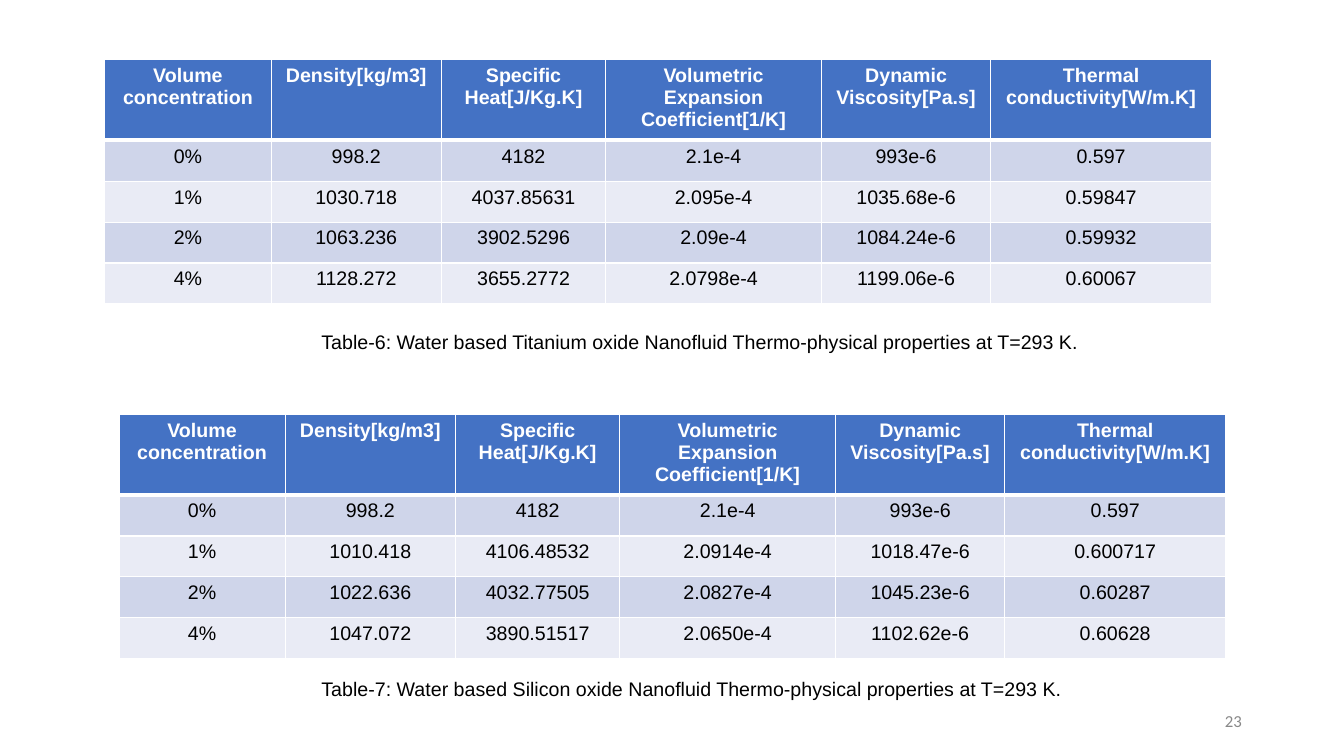
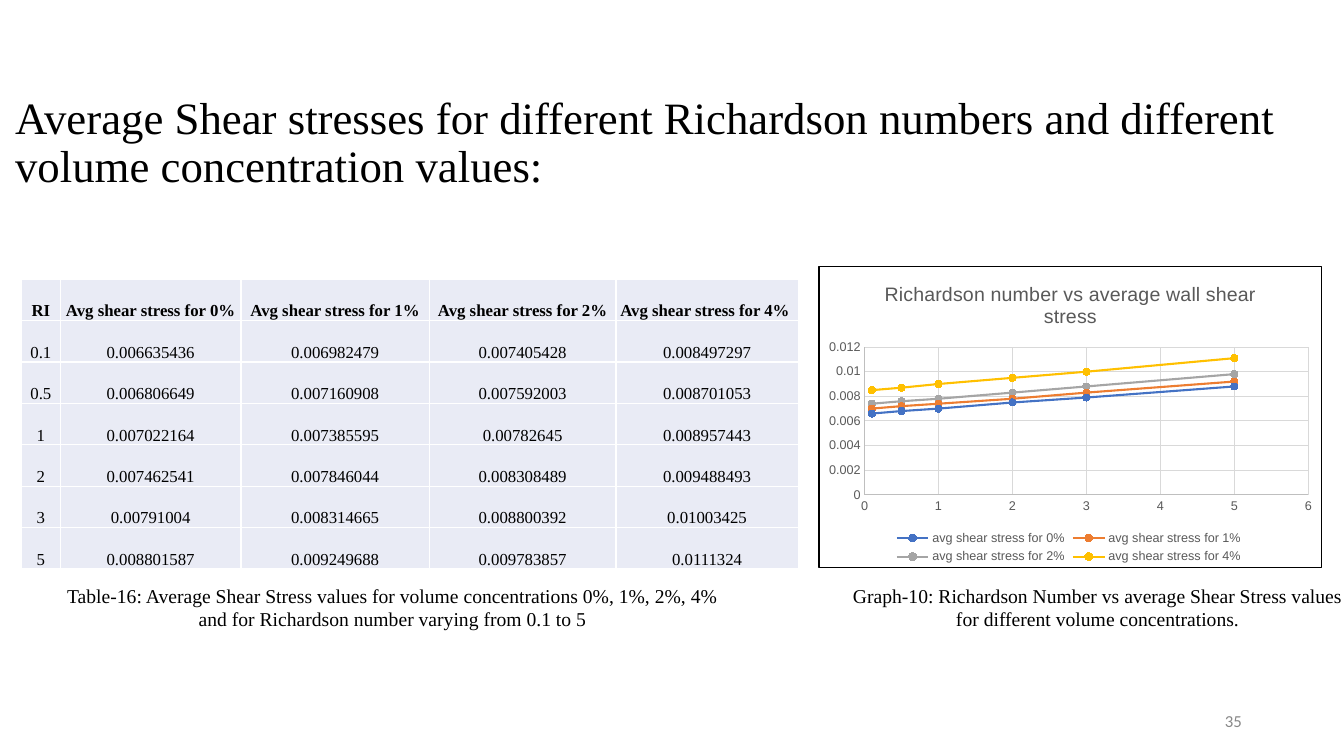
from dataclasses import dataclass

from lxml.etree import SubElement
from pptx import Presentation
from pptx.chart.data import XyChartData
from pptx.dml.color import RGBColor
from pptx.enum.chart import (
    XL_CHART_TYPE as ChartType,
    XL_LEGEND_POSITION as LegendPosition,
    XL_MARKER_STYLE as MarkerStyle,
    XL_TICK_MARK as TickMark,
)
from pptx.enum.text import MSO_ANCHOR as Anchor, PP_ALIGN as Align
from pptx.oxml import parse_xml
from pptx.oxml.ns import nsdecls, qn
from pptx.slide import Slide
from pptx.util import Emu, Inches, Pt

SLIDE_WIDTH, SLIDE_HEIGHT = Inches(13.333), Inches(7.5)


@dataclass(frozen=True)
class Theme:
    sans: str = "Arial"
    serif: str = "Times New Roman"
    footer: str = "Calibri"
    black: str = "000000"
    white: str = "FFFFFF"
    header: str = "4472C4"
    band_dark: str = "CFD5EA"
    band_light: str = "E9EBF5"
    page_number: str = "888888"
    chart_text: str = "595959"
    axis: str = "BFBFBF"
    gridline: str = "D9D9D9"
    series: tuple[str, ...] = ("4472C4", "ED7D31", "A5A5A5", "FFC000")
    title_size: int = 32
    body_size: int = 14
    small_size: int = 12
    chart_size: int = 10
    axis_size: int = 9


THEME = Theme()


@dataclass(frozen=True)
class Box:
    """A frame given in percent of the slide's width and height."""
    left: float
    top: float
    width: float
    height: float

    def emu(self) -> tuple[Emu, Emu, Emu, Emu]:
        return (across(self.left), down(self.top),
                across(self.width), down(self.height))


@dataclass(frozen=True)
class TextStyle:
    font: str
    size: int
    color: str = THEME.black
    bold: bool = False
    align: Align = Align.LEFT
    anchor: Anchor = Anchor.TOP
    line_spacing: float = 1.0


@dataclass(frozen=True)
class TableStyle:
    header: TextStyle
    body: TextStyle
    header_fill: str
    bands: tuple[str, ...]
    header_rule: int = 1
    margins: tuple[float, float, float, float] = (0.1, 0.05, 0.1, 0.05)


@dataclass(frozen=True)
class DataTable:
    left: float
    top: float
    width: float
    header_height: float
    row_height: float
    columns: tuple[float, ...]
    rows: tuple[tuple[str, ...], ...]


@dataclass(frozen=True)
class Caption:
    text: str
    box: Box


TITLE = TextStyle(THEME.serif, THEME.title_size, anchor=Anchor.MIDDLE, line_spacing=0.9)
PAGE_NUMBER = TextStyle(THEME.footer, THEME.small_size, THEME.page_number,
                        align=Align.RIGHT, anchor=Anchor.MIDDLE)
SANS_CAPTION = TextStyle(THEME.sans, THEME.body_size)
SERIF_CAPTION = TextStyle(THEME.serif, THEME.body_size, align=Align.CENTER)

PROPERTY_STYLE = TableStyle(
    TextStyle(THEME.sans, THEME.body_size, THEME.white, True, Align.CENTER),
    TextStyle(THEME.sans, THEME.body_size, align=Align.CENTER),
    THEME.header, (THEME.band_dark, THEME.band_light), header_rule=3)
SHEAR_STYLE = TableStyle(
    TextStyle(THEME.serif, THEME.small_size, bold=True, align=Align.CENTER, anchor=Anchor.BOTTOM),
    TextStyle(THEME.serif, THEME.small_size, align=Align.CENTER, anchor=Anchor.BOTTOM),
    THEME.band_light, (THEME.band_light,), margins=(0.01, 0.01, 0.01, 0))

PROPERTY_COLUMNS = (1.65, 1.69, 1.63, 2.14, 1.68, 2.19)
PROPERTY_HEADER = ("Volume concentration", "Density[kg/m3]", "Specific Heat[J/Kg.K]",
                   "Volumetric Expansion Coefficient[1/K]", "Dynamic Viscosity[Pa.s]",
                   "Thermal conductivity[W/m.K]")
PURE_WATER = ("0%", "998.2", "4182", "2.1e-4", "993e-6", "0.597")

TITANIUM_OXIDE = DataTable(7.8, 7.87, 82.35, 10, 5.42, PROPERTY_COLUMNS, (
    PROPERTY_HEADER,
    PURE_WATER,
    ("1%", "1030.718", "4037.85631", "2.095e-4", "1035.68e-6", "0.59847"),
    ("2%", "1063.236", "3902.5296", "2.09e-4", "1084.24e-6", "0.59932"),
    ("4%", "1128.272", "3655.2772", "2.0798e-4", "1199.06e-6", "0.60067"),
))
SILICON_OXIDE = DataTable(8.85, 54.8, 82.35, 10.4, 5.42, PROPERTY_COLUMNS, (
    PROPERTY_HEADER,
    PURE_WATER,
    ("1%", "1010.418", "4106.48532", "2.0914e-4", "1018.47e-6", "0.600717"),
    ("2%", "1022.636", "4032.77505", "2.0827e-4", "1045.23e-6", "0.60287"),
    ("4%", "1047.072", "3890.51517", "2.0650e-4", "1102.62e-6", "0.60628"),
))
SHEAR_STRESS = DataTable(1.58, 36.93, 57.83, 5.48, 5.48, (0.39, 1.79, 1.87, 1.85, 1.81), (
    ("RI", "Avg shear stress for 0%", "Avg shear stress for 1%",
     "Avg shear stress for 2%", "Avg shear stress for 4% "),
    ("0.1", "0.006635436", "0.006982479", "0.007405428", "0.008497297"),
    ("0.5", "0.006806649", "0.007160908", "0.007592003", "0.008701053"),
    ("1", "0.007022164", "0.007385595", "0.00782645", "0.008957443"),
    ("2", "0.007462541", "0.007846044", "0.008308489", "0.009488493"),
    ("3", "0.00791004", "0.008314665", "0.008800392", "0.01003425"),
    ("5", "0.008801587", "0.009249688", "0.009783857", "0.0111324"),
))

PROPERTY_CAPTIONS = (
    Caption("Table-6: Water based Titanium oxide Nanofluid Thermo-physical properties at T=293 K.",
            Box(23.18, 42.93, 61.65, 4.53)),
    Caption("Table-7: Water based Silicon oxide Nanofluid Thermo-physical properties at T=293 K.",
            Box(23.18, 88.93, 61.65, 4.53)),
)
SHEAR_CAPTIONS = (
    Caption("Table-16: Average Shear Stress values for volume concentrations 0%, 1%, 2%, 4% "
            "and for Richardson number varying from 0.1 to 5", Box(4.2, 76.53, 50.03, 7.6)),
    Caption("Graph-10: Richardson Number vs average Shear Stress values "
            "for different volume concentrations.", Box(62.48, 76.53, 38.4, 7.6)),
)


def across(percent: float) -> Emu:
    return Emu(round(SLIDE_WIDTH * percent / 100))


def down(percent: float) -> Emu:
    return Emu(round(SLIDE_HEIGHT * percent / 100))


def style_font(font, name: str, size: int, color: str, bold: bool = False) -> None:
    font.name, font.size, font.bold = name, Pt(size), bold
    font.color.rgb = RGBColor.from_string(color)


def write(frame, text: str, style: TextStyle) -> None:
    paragraph = frame.paragraphs[0]
    paragraph.text = text
    paragraph.alignment = style.align
    paragraph.line_spacing = style.line_spacing
    style_font(paragraph.font, style.font, style.size, style.color, style.bold)


def add_text(slide: Slide, text: str, box: Box, style: TextStyle) -> None:
    frame = slide.shapes.add_textbox(*box.emu()).text_frame
    frame.word_wrap = True
    frame.vertical_anchor = style.anchor
    write(frame, text, style)


def set_borders(cell, top: int, bottom: int) -> None:
    """Draw white cell edges; the edges must precede the fill in the XML."""
    properties = cell._tc.get_or_add_tcPr()
    for index, (edge, weight) in enumerate((("L", 1), ("R", 1), ("T", top), ("B", bottom))):
        properties.insert(index, parse_xml(
            f'<a:ln{edge} {nsdecls("a")} w="{Pt(weight)}"><a:solidFill>'
            f'<a:srgbClr val="{THEME.white}"/></a:solidFill></a:ln{edge}>'))


def add_data_table(slide: Slide, data: DataTable, style: TableStyle) -> None:
    body_rows = len(data.rows) - 1
    box = Box(data.left, data.top, data.width, data.header_height + body_rows * data.row_height)
    table = slide.shapes.add_table(len(data.rows), len(data.columns), *box.emu()).table
    table.first_row = table.horz_banding = False
    for column, share in zip(table.columns, data.columns):
        column.width = across(data.width * share / sum(data.columns))
    for r, values in enumerate(data.rows):
        is_header = r == 0
        table.rows[r].height = down(data.header_height if is_header else data.row_height)
        text_style = style.header if is_header else style.body
        fill = style.header_fill if is_header else style.bands[(r - 1) % len(style.bands)]
        for c, value in enumerate(values):
            cell = table.cell(r, c)
            (cell.margin_left, cell.margin_top,
             cell.margin_right, cell.margin_bottom) = map(Inches, style.margins)
            cell.vertical_anchor = text_style.anchor
            cell.fill.solid()
            cell.fill.fore_color.rgb = RGBColor.from_string(fill)
            set_borders(cell, top=style.header_rule if r == 1 else 1,
                        bottom=style.header_rule if is_header else 1)
            write(cell.text_frame, value, text_style)


def style_axis(axis, maximum: float, step: float) -> None:
    axis.minimum_scale, axis.maximum_scale, axis.major_unit = 0, maximum, step
    axis.major_tick_mark = axis.minor_tick_mark = TickMark.NONE
    axis.has_major_gridlines = True
    for line, color in ((axis.format.line, THEME.axis),
                        (axis.major_gridlines.format.line, THEME.gridline)):
        line.color.rgb = RGBColor.from_string(color)
        line.width = Pt(0.75)
    axis.tick_labels.number_format = "General"
    axis.tick_labels.number_format_is_linked = False
    style_font(axis.tick_labels.font, THEME.sans, THEME.axis_size, THEME.chart_text)


def frame_chart(chart) -> None:
    """Outline the whole chart area in black."""
    area = parse_xml(f'<c:spPr {nsdecls("c", "a")}/>')
    for parent, color in ((area, THEME.white),
                          (SubElement(area, qn("a:ln"), w=str(Pt(0.75))), THEME.black)):
        fill = SubElement(parent, qn("a:solidFill"))
        SubElement(fill, qn("a:srgbClr"), val=color)
        if parent is area:
            area.insert(0, fill)
    chart.element.find(qn("c:chart")).addnext(area)


def add_shear_chart(slide: Slide, data: DataTable, box: Box) -> None:
    header, *records = data.rows
    points = XyChartData()
    for c, name in enumerate(header[1:], start=1):
        series = points.add_series(name.lower())
        for record in records:
            series.add_data_point(float(record[0]), round(float(record[c]), 4))
    chart = slide.shapes.add_chart(ChartType.XY_SCATTER_SMOOTH, *box.emu(), points).chart
    style_font(chart.font, THEME.sans, THEME.chart_size, THEME.black)
    frame_chart(chart)

    chart.has_title = True
    chart.chart_title.include_in_layout = False
    write(chart.chart_title.text_frame, "Richardson number vs average wall shear stress",
          TextStyle(THEME.sans, THEME.body_size, THEME.chart_text, align=Align.CENTER))
    chart.has_legend = True
    chart.legend.position = LegendPosition.BOTTOM
    chart.legend.include_in_layout = False
    style_font(chart.legend.font, THEME.sans, THEME.axis_size, THEME.chart_text)
    style_axis(chart.category_axis, 6, 1)
    style_axis(chart.value_axis, 0.012, 0.002)

    plot = chart.plots[0]
    plot.vary_by_categories = False
    for series, color in zip(plot.series, THEME.series):
        rgb = RGBColor.from_string(color)
        series.smooth = True
        series.format.line.color.rgb = rgb
        series.format.line.width = Pt(1.5)
        series.marker.style, series.marker.size = MarkerStyle.CIRCLE, 5
        series.marker.format.fill.solid()
        series.marker.format.fill.fore_color.rgb = rgb
        series.marker.format.line.color.rgb = rgb


def add_page(deck, number: int, captions: tuple[Caption, ...], caption_style: TextStyle) -> Slide:
    slide = deck.slides.add_slide(deck.slide_layouts[6])
    add_text(slide, str(number), Box(70.65, 92.67, 22.5, 5.33), PAGE_NUMBER)
    for caption in captions:
        add_text(slide, caption.text, caption.box, caption_style)
    return slide


def main() -> None:
    deck = Presentation()
    deck.slide_width, deck.slide_height = SLIDE_WIDTH, SLIDE_HEIGHT

    properties = add_page(deck, 23, PROPERTY_CAPTIONS, SANS_CAPTION)
    for nanofluid in (TITANIUM_OXIDE, SILICON_OXIDE):
        add_data_table(properties, nanofluid, PROPERTY_STYLE)

    shear = add_page(deck, 35, SHEAR_CAPTIONS, SERIF_CAPTION)
    add_text(shear, "Average Shear stresses for different Richardson numbers and different "
             "volume concentration values:", Box(0.38, 9.73, 98.03, 18.67), TITLE)
    add_data_table(shear, SHEAR_STRESS, SHEAR_STYLE)
    add_shear_chart(shear, SHEAR_STRESS, Box(60.9, 35.2, 37.5, 40))

    deck.save("out.pptx")


if __name__ == "__main__":
    main()
